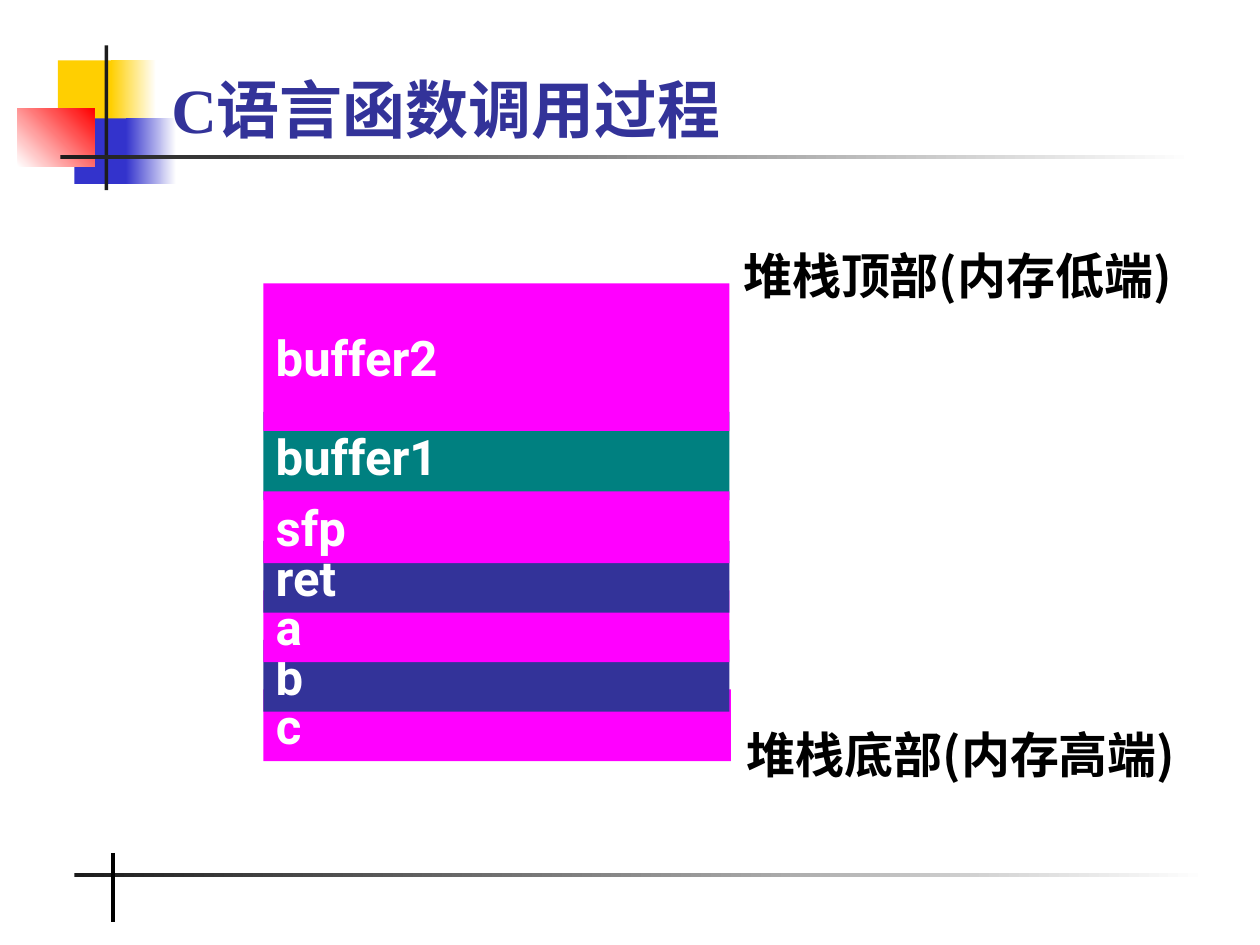
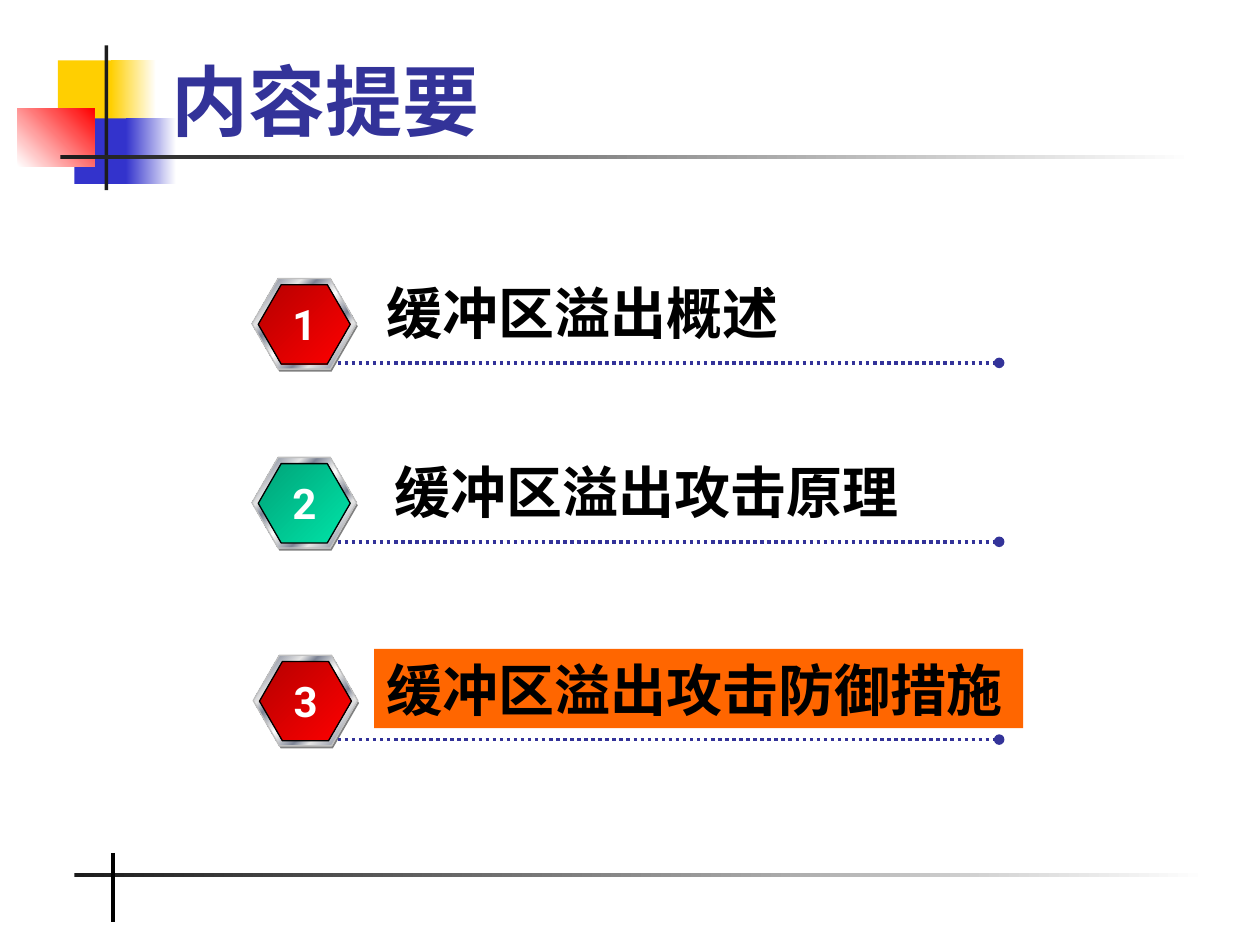
from lxml import etree
from pptx import Presentation
from pptx.dml.color import RGBColor
from pptx.enum.dml import MSO_LINE
from pptx.enum.shapes import MSO_CONNECTOR, MSO_SHAPE
from pptx.enum.text import MSO_ANCHOR, MSO_AUTO_SIZE, PP_ALIGN
from pptx.oxml.ns import qn
from pptx.util import Inches, Pt

RECTANGLE, HEXAGON = MSO_SHAPE.RECTANGLE, MSO_SHAPE.HEXAGON
STRAIGHT, DOTTED = MSO_CONNECTOR.STRAIGHT, MSO_LINE.ROUND_DOT
TOP, MIDDLE, BOTTOM = MSO_ANCHOR.TOP, MSO_ANCHOR.MIDDLE, MSO_ANCHOR.BOTTOM
FIT_SHAPE, NO_FIT = MSO_AUTO_SIZE.SHAPE_TO_FIT_TEXT, MSO_AUTO_SIZE.NONE
LEFT, CENTER = PP_ALIGN.LEFT, PP_ALIGN.CENTER

TITLE_ONLY = 5
SANS, SERIF, CHINESE = "Roboto", "Times New Roman", "Noto Sans CJK SC"
WHITE, BLACK, INK, NAVY = "FFFFFF", "000000", "1C1C1C", "333399"
YELLOW, BLUE, RED = "FFCF01", "3333CC", "FF0000"
MAGENTA, TEAL, ORANGE = "FF00FF", "008080", "FF6600"
GRAY, SILVER = "808080", "C0C0C0"
METAL = [(0, "E6E6E6"), (8, "7D8496"), (26, "E6E6E6"), (34, "7D8496"),
         (46, "E6E6E6"), (50, "FFFFFF"), (54, "E6E6E6"), (66, "7D8496"),
         (74, "E6E6E6"), (93, "7D8496"), (100, "E6E6E6")]
RED_FACE = [(0, "B60000"), (100, RED)]
GREEN_FACE = [(0, "00A378"), (100, "00E4A8")]


def color(value):
    """Turn a hex string into a colour."""
    return RGBColor.from_string(value)


def fade(start, end=WHITE):
    """Return the stops of a plain two-colour gradient."""
    return [(0, start), (100, end)]


class Painter:
    """Holds the deck style and the slide being drawn."""

    def __init__(self, deck):
        """Remember the deck and its title-only layout."""
        self.deck = deck
        self.layout = deck.slide_layouts[TITLE_ONLY]
        self.page = None

    def new_page(self, title, width, size):
        """Add a slide and set its title."""
        self.page = self.deck.slides.add_slide(self.layout)
        box = self.page.shapes.title
        box.left, box.top = Inches(1.26), Inches(0.16)
        box.width, box.height = Inches(width), Inches(1.05)
        self.set_text(box, title, size, SERIF, NAVY, anchor=BOTTOM, fit=NO_FIT)

    def set_text(self, box, text, size, font, ink, align=LEFT, anchor=TOP,
                 fit=FIT_SHAPE, wrap=True):
        """Put one bold paragraph into a shape."""
        frame = box.text_frame
        frame.text = text
        frame.word_wrap, frame.auto_size = wrap, fit
        frame.vertical_anchor = anchor
        para = frame.paragraphs[0]
        para.alignment = align
        para.font.name, para.font.size, para.font.bold = font, Pt(size), True
        para.font.color.rgb = color(ink)
        defaults = para._p.pPr.find(qn("a:defRPr"))
        etree.SubElement(defaults, qn("a:ea"), typeface=CHINESE)

    def shape(self, kind, left, top, width, height, fill, angle=0, line=None):
        """Draw a preset shape with a plain fill or a list of gradient stops."""
        box = self.page.shapes.add_shape(
            kind, Inches(left), Inches(top), Inches(width), Inches(height))
        box.shadow.inherit = False
        if isinstance(fill, str):
            box.fill.solid()
            box.fill.fore_color.rgb = color(fill)
        else:
            self.gradient(box, fill, angle)
        if line:
            box.line.color.rgb = color(line)
            box.line.width = Pt(0.75)
        else:
            box.line.fill.background()
        return box

    def gradient(self, box, stops, angle):
        """Fill a shape with gradient stops, at a clockwise angle."""
        box.fill.background()
        empty = box.element.spPr.find(qn("a:noFill"))
        fill = etree.Element(qn("a:gradFill"), rotWithShape="1")
        stop_list = etree.SubElement(fill, qn("a:gsLst"))
        for percent, value in stops:
            stop = etree.SubElement(stop_list, qn("a:gs"), pos=str(percent * 1000))
            etree.SubElement(stop, qn("a:srgbClr"), val=value)
        etree.SubElement(fill, qn("a:lin"), ang=str(angle * 60000), scaled="0")
        box.element.spPr.replace(empty, fill)

    def line(self, start, end, ink, width, dotted=False):
        """Draw a line; a dotted one ends in a round dot."""
        rule = self.page.shapes.add_connector(
            STRAIGHT, *(Inches(value) for value in (*start, *end)))
        rule.line.color.rgb = color(ink)
        rule.line.width = Pt(width)
        properties = rule.element.spPr
        if dotted:
            rule.line.dash_style = DOTTED
            etree.SubElement(properties.find(qn("a:ln")), qn("a:tailEnd"), type="oval")
        etree.SubElement(properties, qn("a:effectLst"))
        return rule

    def label(self, text, left, top, width, height, size, font, ink=BLACK, **style):
        """Add a text box."""
        box = self.page.shapes.add_textbox(
            Inches(left), Inches(top), Inches(width), Inches(height))
        self.set_text(box, text, size, font, ink, **style)

    def decorate_layout(self):
        """Draw the shared squares and rules and move them to the layout."""
        parts = [
            self.shape(RECTANGLE, 0.46, 0.48, 0.48, 0.52, YELLOW),
            self.shape(RECTANGLE, 0.88, 0.48, 0.36, 0.52, fade(YELLOW)),
            self.shape(RECTANGLE, 0.59, 0.94, 0.46, 0.52, BLUE),
            self.shape(RECTANGLE, 1, 0.94, 0.4, 0.52, fade(BLUE)),
            self.shape(RECTANGLE, 0.14, 0.86, 0.61, 0.46, fade(WHITE, RED), 315),
            self.shape(RECTANGLE, 0.83, 0.36, 0.03, 1.15, INK),
            self.shape(RECTANGLE, 0.48, 1.23, 9, 0.03, fade(INK)),
            self.shape(RECTANGLE, 0.59, 6.93, 9, 0.03, fade(INK)),
            self.line((0.9, 6.77), (0.9, 7.32), BLACK, 2.25),
        ]
        tree = self.layout.element.cSld.spTree
        for part in parts:
            tree.append(part.element)

    def stack_cell(self, text, top, height, fill, fit=FIT_SHAPE, width=3.7):
        """Draw one cell of the call stack."""
        box = self.shape(RECTANGLE, 2.09, top, width, height, fill)
        self.set_text(box, text, 28, SANS, WHITE, anchor=MIDDLE, fit=fit)

    def hexagon(self, left, top, width, height, fill, line=None):
        """Draw a regular hexagon."""
        box = self.shape(HEXAGON, left, top, width, height, fill, 45, line)
        box.adjustments[0] = 0.289
        return box

    def badge(self, left, top, face):
        """Draw a metal-rimmed hexagon as one group."""
        self.page.shapes.add_group_shape([
            self.hexagon(left + 0.01, top + 0.02, 0.83, 0.72, GRAY),
            self.hexagon(left, top, 0.83, 0.72, METAL, SILVER),
            self.hexagon(left + 0.05, top + 0.05, 0.73, 0.63, face, BLACK),
        ])

    def agenda_item(self, number, text, left, top, face, text_left, text_width,
                    highlight=None):
        """Draw a numbered badge, its dotted rule and its heading."""
        self.badge(left, top, face)
        rule_y = top + 0.67
        self.line((2.68, rule_y), (7.93, rule_y), NAVY, 2, dotted=True)
        place = (text_left, top - 0.05, text_width, 0.63)
        if highlight:
            box = self.shape(RECTANGLE, *place, highlight)
            self.set_text(box, text, 32, CHINESE, BLACK)
        else:
            self.label(text, *place, 32, CHINESE)
        self.label(str(number), left + 0.22, top + 0.11, 0.39, 0.5, 24, SANS,
                   WHITE, align=CENTER, wrap=False)


def call_stack_page(painter):
    """Draw the stack during a C function call."""
    painter.new_page("C语言函数调用过程", 7.41, 36)
    painter.decorate_layout()
    painter.stack_cell("buffer1", 3.27, 0.7, TEAL, NO_FIT)
    # Cells overlap, so the lowest is drawn first.
    names = ["sfp", "ret", "a", "b", "c"]
    for index, name in reversed(list(enumerate(names))):
        fill = NAVY if index % 2 else MAGENTA
        width = 3.71 if name == "c" else 3.7
        painter.stack_cell(name, 3.9 + 0.393 * index, 0.57, fill, width=width)
    painter.stack_cell("buffer2", 2.25, 1.17, MAGENTA, NO_FIT)
    painter.label("堆栈顶部(内存低端)", 5.8, 1.9, 3.72, 0.57, 28, CHINESE)
    painter.label("堆栈底部(内存高端)", 5.83, 5.7, 3.68, 0.57, 28, CHINESE)


def agenda_page(painter):
    """Draw the agenda with its third item highlighted."""
    painter.new_page("内容提要", 8.52, 44)
    painter.agenda_item(1, "缓冲区溢出概述", 2, 2.21, RED_FACE, 2.97, 5.02)
    painter.agenda_item(2, "缓冲区溢出攻击原理", 2, 3.63, GREEN_FACE, 3.03, 4.88)
    painter.agenda_item(3, "缓冲区溢出攻击防御措施", 2.01, 5.2, RED_FACE, 2.97, 5.15,
                        highlight=ORANGE)


def main():
    """Build and save the deck."""
    deck = Presentation()
    deck.slide_width, deck.slide_height = Inches(10), Inches(7.5)
    painter = Painter(deck)
    call_stack_page(painter)
    agenda_page(painter)
    deck.save("out.pptx")


main()
